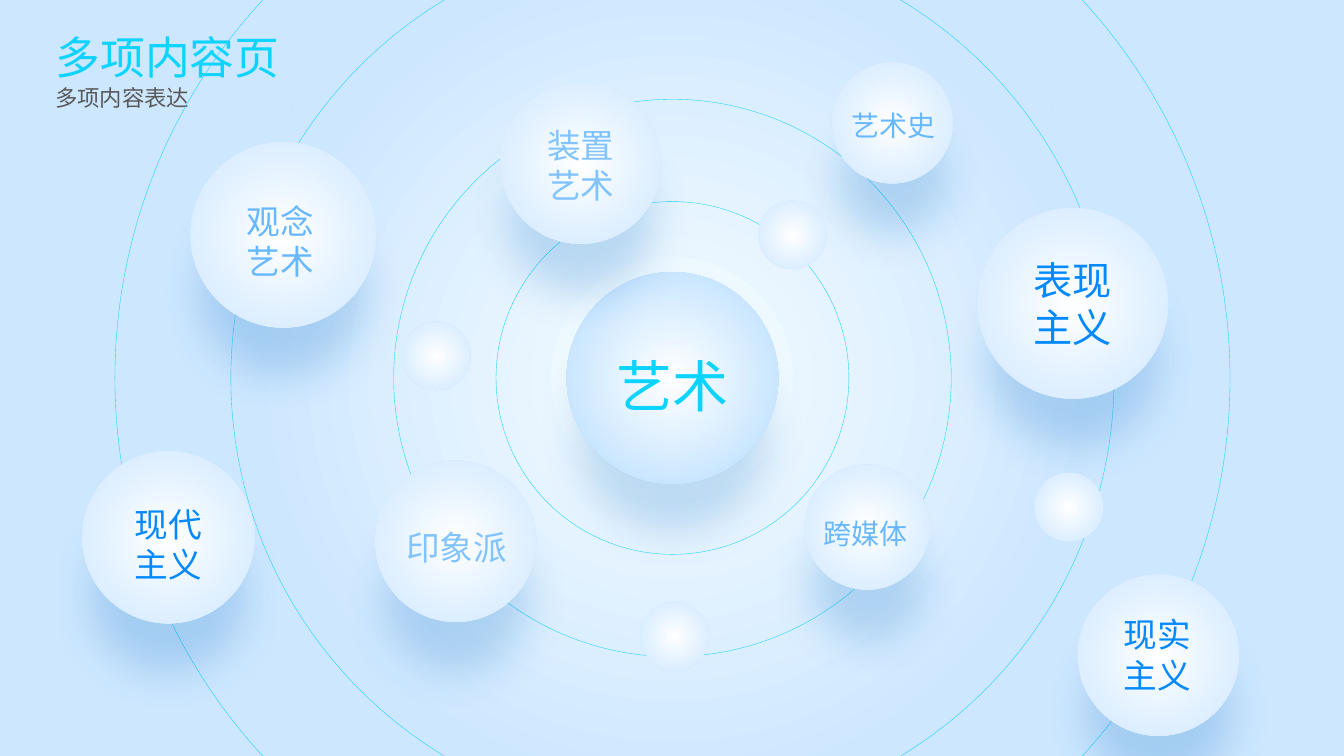
from dataclasses import dataclass

from lxml import etree
from pptx import Presentation
from pptx.dml.color import RGBColor
from pptx.enum.shapes import MSO_SHAPE as SHAPE
from pptx.enum.text import MSO_ANCHOR as ANCHOR, MSO_AUTO_SIZE as AUTO, PP_ALIGN as ALIGN
from pptx.oxml import parse_xml
from pptx.oxml.ns import nsdecls, qn
from pptx.util import Inches, Pt


@dataclass(frozen=True)
class Theme:
    font: str = "Noto Sans CJK SC"
    cyan: str = "0DD3FF"
    blue: str = "0389FF"
    mid: str = "68B8FF"
    light: str = "81C3FF"
    gray: str = "595959"
    white: str = "FFFFFF"
    glow: str = "F7FDFF"
    sky: str = "CDE7FF"
    hub: str = "B3DCFF"
    shadow: str = "0067C2"
    title: int = 32
    subtitle: int = 16
    core: int = 40
    large: int = 28
    medium: int = 24
    small: int = 20


T = Theme()
WIDTH, HEIGHT = 13.33, 7.5
CENTER = (6.67, 3.75)
RINGS = (3.5, 5.53, 8.76, 11.06)
DOT = 0.68
DOTS = ((6.69, 6.31), (10.6, 5.03), (4.33, 3.53), (7.86, 2.33))
BUBBLES = (
    (8.6, 5.23, 1.24, ["跨媒体"], T.small, T.mid, (1.32, 0.44), (-0.02, 0.06)),
    (11.49, 6.5, 1.6, ["现实", "主义"], T.medium, T.blue, (1.04, 0.91), (-0.01, 0)),
    (4.52, 5.37, 1.6, ["印象派"], T.medium, T.light, (1.32, 0.5), (0.01, 0.06)),
    (10.64, 3.01, 1.89, ["表现主义"], T.large, T.blue, (1.04, 1.04), (0, 0)),
    (1.67, 5.33, 1.71, ["现代主义"], T.medium, T.blue, (1.04, 0.91), (0, 0.07)),
    (5.76, 1.62, 1.6, ["装置艺术"], T.medium, T.light, (1.04, 0.91), (0, 0.02)),
    (2.81, 2.33, 1.84, ["观念艺术"], T.medium, T.mid, (1.04, 0.91), (-0.03, 0.07)),
    (8.85, 1.22, 1.2, ["艺术史"], T.small, T.mid, (1.32, 0.44), (0.01, 0.03)),
)


def set_gradient(fill, start, end, reach=1.0):
    fill.gradient()
    for stop, color, position in zip(fill.gradient_stops, (start, end), (0, reach)):
        stop.color.rgb = RGBColor.from_string(color)
        stop.position = position


def make_radial(parent):
    grad = next(parent.iter(qn("a:gradFill")))
    grad.replace(grad.find(qn("a:lin")), parse_xml(
        f'<a:path {nsdecls("a")} path="circle">'
        '<a:fillToRect l="50000" t="50000" r="50000" b="50000"/></a:path>'))


def add_shadow(s):
    effects = s.element.spPr.find(qn("a:effectLst"))
    effects.append(parse_xml(
        f'<a:outerShdw {nsdecls("a")} blurRad="{Pt(30)}" dist="{Pt(41)}" dir="5400000" '
        'sx="90000" sy="90000" algn="ctr" rotWithShape="0">'
        f'<a:srgbClr val="{T.shadow}"><a:alpha val="20000"/></a:srgbClr></a:outerShdw>'))


def add_circle(slide, center, size, edge=None, shadow=True):
    x, y = center
    s = slide.shapes.add_shape(SHAPE.OVAL, Inches(x - size / 2), Inches(y - size / 2),
                               Inches(size), Inches(size))
    s.shadow.inherit = False
    if edge:
        set_gradient(s.fill, T.white, edge)
        make_radial(s.element.spPr)
        s.line.fill.background()
    else:
        s.fill.background()
        s.line.color.rgb = RGBColor.from_string(T.cyan)
        s.line.width = Pt(0.25)
    if shadow:
        add_shadow(s)


def write(tf, lines, size, color, align, angle=None):
    tf.word_wrap = True
    tf.auto_size = AUTO.SHAPE_TO_FIT_TEXT
    tf.vertical_anchor = ANCHOR.TOP
    tf.text = "\n".join(lines)
    for p in tf.paragraphs:
        p.alignment = align
        font = p.font
        font.size = Pt(size)
        font.name = T.font
        if angle is None:
            font.color.rgb = RGBColor.from_string(color)
        else:
            set_gradient(font.fill, color, T.blue)
            font.fill.gradient_angle = angle
        latin = next(p._p.iter(qn("a:latin")))
        ea = etree.Element(qn("a:ea"), typeface=T.font)
        latin.addnext(ea)


def add_label(slide, center, box, lines, size, color, angle=None):
    (x, y), (w, h) = center, box
    s = slide.shapes.add_textbox(Inches(x - w / 2), Inches(y - h / 2), Inches(w), Inches(h))
    write(s.text_frame, lines, size, color, ALIGN.CENTER, angle)


def add_header(slide, x, y):
    title = slide.shapes.title
    title.left, title.top = Inches(x), Inches(y)
    title.width, title.height = Inches(2.62), Inches(0.64)
    write(title.text_frame, ["多项内容页"], T.title, T.cyan, ALIGN.LEFT, 315)
    s = slide.shapes.add_textbox(Inches(x), Inches(y + 0.55), Inches(1.76), Inches(0.37))
    write(s.text_frame, ["多项内容表达"], T.subtitle, T.gray, ALIGN.LEFT)


def add_orbits(slide, center):
    add_circle(slide, center, 2.1, T.hub)
    for size in RINGS:
        add_circle(slide, center, size)
    add_label(slide, (center[0], center[1] + 0.07), (1.53, 0.77), ["艺术"], T.core, T.cyan, 270)


def add_bubble(slide, x, y, diameter, lines, size, color, box, shift):
    add_circle(slide, (x, y), diameter, T.sky)
    add_label(slide, (x + shift[0], y + shift[1]), box, lines, size, color)


def build_slide(prs):
    slide = prs.slides.add_slide(prs.slide_layouts[5])
    set_gradient(slide.background.fill, T.glow, T.sky, 0.55)
    make_radial(slide.element)
    add_header(slide, 0.45, 0.24)
    add_orbits(slide, CENTER)
    for bubble in BUBBLES:
        add_bubble(slide, *bubble)
    for dot in DOTS:
        add_circle(slide, dot, DOT, T.sky, shadow=False)


def main():
    prs = Presentation()
    prs.slide_width, prs.slide_height = Inches(WIDTH), Inches(HEIGHT)
    build_slide(prs)
    prs.save("out.pptx")


if __name__ == "__main__":
    main()
